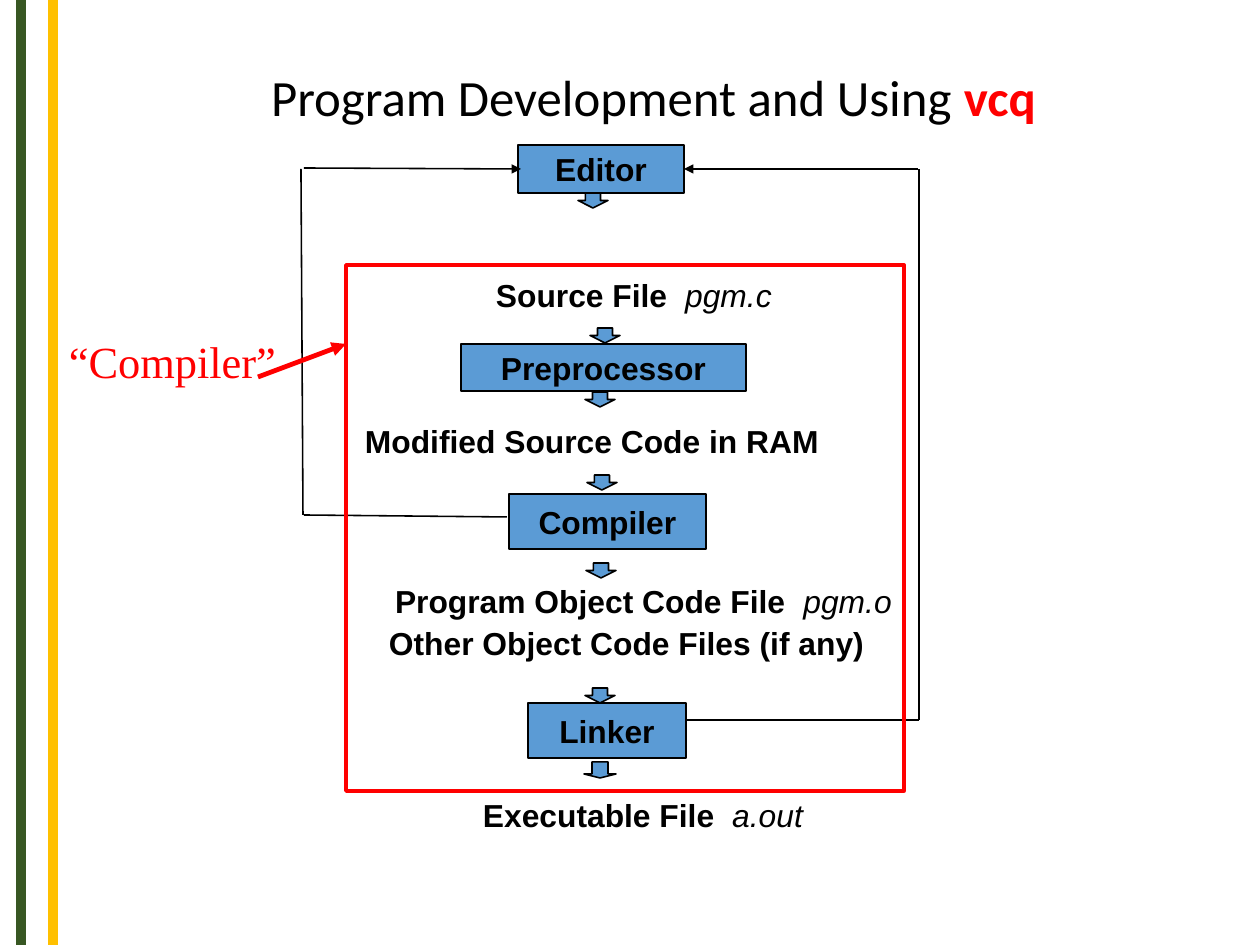
"""Build the slide that shows how a compiler turns a source file into an executable."""
from dataclasses import dataclass

from lxml import etree
from pptx import Presentation
from pptx import util as u
from pptx.dml.color import RGBColor
from pptx.enum import shapes, text
from pptx.oxml import ns

PIXEL = 8000
WIDTH, HEIGHT = 1260, 945
BLACK = RGBColor(0x00, 0x00, 0x00)
RED = RGBColor(0xFF, 0x00, 0x00)
BLUE = RGBColor(0x5B, 0x9B, 0xD5)
GREEN = RGBColor(0x38, 0x57, 0x23)
GOLD = RGBColor(0xFF, 0xC0, 0x00)


@dataclass(frozen=True)
class Area:
    left: int
    top: int
    width: int
    height: int

    def emu(self) -> list[int]:
        return [side * PIXEL for side in (self.left, self.top, self.width, self.height)]


@dataclass(frozen=True)
class Stage:
    name: str
    area: Area


@dataclass(frozen=True)
class Label:
    words: str
    area: Area
    file: str = ""
    snug: bool = False
    font: str = "Arial"
    size: int = 20
    color: RGBColor = BLACK
    bold: bool = True


@dataclass(frozen=True)
class Line:
    start: tuple[int, int]
    end: tuple[int, int]
    color: RGBColor = BLACK
    weight: float = 1
    arrow: bool = False


BARS = [
    Line((21, 0), (21, HEIGHT), GREEN, 6),
    Line((53, 0), (53, HEIGHT), GOLD, 6),
]
STAGES = [
    Stage("Editor", Area(518, 145, 166, 48)),
    Stage("Preprocessor", Area(461, 344, 285, 47)),
    Stage("Compiler", Area(509, 494, 197, 55)),
    Stage("Linker", Area(528, 703, 158, 55)),
]
STEP_CENTERS = [(593, 200), (605, 335), (600, 399), (602, 482), (601, 570), (600, 695)]
LABELS = [
    Label("Source File  ", Area(487, 271, 296, 48), "pgm.c", snug=True),
    Label("Modified Source Code in RAM", Area(354, 416, 486, 50)),
    Label("Program Object Code File  ", Area(386, 577, 519, 48), "pgm.o", snug=True),
    Label("Other Object Code Files (if any)", Area(378, 618, 514, 50)),
    Label("Executable File  ", Area(474, 791, 341, 48), "a.out", snug=True),
    Label("“Compiler”", Area(58, 328, 235, 65), font="Times New Roman",
          size=28, color=RED, bold=False),
]
FEEDBACK = [
    Line((304, 515), (507, 517)),
    Line((303, 515), (301, 169)),
    Line((304, 168), (521, 169), arrow=True),
    Line((685, 720), (919, 720)),
    Line((919, 720), (919, 169)),
    Line((918, 169), (684, 169), weight=1.5, arrow=True),
]
FRAME = Area(346, 265, 558, 526)
POINTER = Line((258, 377), (346, 344), RED, 3, arrow=True)


def style_font(font, name: str, size: int, color: RGBColor) -> None:
    font.name = name
    font.size = u.Pt(size)
    font.color.rgb = color


def draw_line(page, line: Line) -> None:
    ends = [value * PIXEL for value in line.start + line.end]
    connector = page.shapes.add_connector(shapes.MSO_CONNECTOR.STRAIGHT, *ends)
    connector.line.color.rgb = line.color
    connector.line.width = u.Pt(line.weight)
    if line.arrow:
        outline = connector.line._get_or_add_ln()
        etree.SubElement(outline, ns.qn("a:tailEnd"), type="triangle")
    etree.SubElement(connector._element.spPr, ns.qn("a:effectLst"))


def draw_shape(page, kind, area: Area, color: RGBColor = BLACK, weight: float = 1):
    shape = page.shapes.add_shape(kind, *area.emu())
    shape.shadow.inherit = False
    shape.fill.solid()
    shape.fill.fore_color.rgb = BLUE
    shape.line.color.rgb = color
    shape.line.width = u.Pt(weight)
    return shape


def draw_stage(page, stage: Stage) -> None:
    box = draw_shape(page, shapes.MSO_SHAPE.RECTANGLE, stage.area)
    frame = box.text_frame
    frame.word_wrap = False
    frame.vertical_anchor = text.MSO_ANCHOR.MIDDLE
    para = frame.paragraphs[0]
    para.text = stage.name
    para.alignment = text.PP_ALIGN.CENTER
    style_font(para.font, "Arial", 20, BLACK)
    para.font.bold = True


def draw_step(page, area: Area, head: float = 0.5) -> None:
    arrow = draw_shape(page, shapes.MSO_SHAPE.DOWN_ARROW, area)
    arrow.adjustments[1] = head


def draw_label(page, label: Label) -> None:
    frame = page.shapes.add_textbox(*label.area.emu()).text_frame
    frame.word_wrap = not label.snug
    frame.auto_size = text.MSO_AUTO_SIZE.SHAPE_TO_FIT_TEXT
    frame.margin_left = frame.margin_right = (9 if label.snug else 11) * PIXEL
    frame.margin_top = frame.margin_bottom = (5 if label.snug else 6) * PIXEL
    para = frame.paragraphs[0]
    style_font(para.font, label.font, label.size, label.color)
    span = para.add_run()
    span.text = label.words
    span.font.bold = label.bold
    if label.file:
        span = para.add_run()
        span.text = label.file
        span.font.italic = True


def write_title(page) -> None:
    title = page.shapes.title
    title.left, title.top, title.width, title.height = Area(97, 15, 1113, 171).emu()
    frame = title.text_frame
    frame.auto_size = text.MSO_AUTO_SIZE.NONE
    frame.vertical_anchor = text.MSO_ANCHOR.MIDDLE
    para = frame.paragraphs[0]
    para.alignment = text.PP_ALIGN.CENTER
    para.line_spacing = 0.9
    style_font(para.font, "Calibri", 32, BLACK)
    para.add_run().text = "Program Development and Using "
    span = para.add_run()
    span.text = "vcq"
    span.font.bold = True
    span.font.color.rgb = RED


deck = Presentation()
deck.slide_width, deck.slide_height = WIDTH * PIXEL, HEIGHT * PIXEL
page = deck.slides.add_slide(deck.slide_layouts[5])
write_title(page)
for bar in BARS:
    draw_line(page, bar)
for center_x, center_y in STEP_CENTERS:
    draw_step(page, Area(center_x - 15, center_y - 7, 30, 15))
draw_step(page, Area(584, 762, 32, 16), head=0.25)
for stage in STAGES:
    draw_stage(page, stage)
for label in LABELS:
    draw_label(page, label)
for line in FEEDBACK:
    draw_line(page, line)
draw_shape(page, shapes.MSO_SHAPE.RECTANGLE, FRAME, RED, 2.25).fill.background()
draw_line(page, POINTER)
deck.save("out.pptx")
